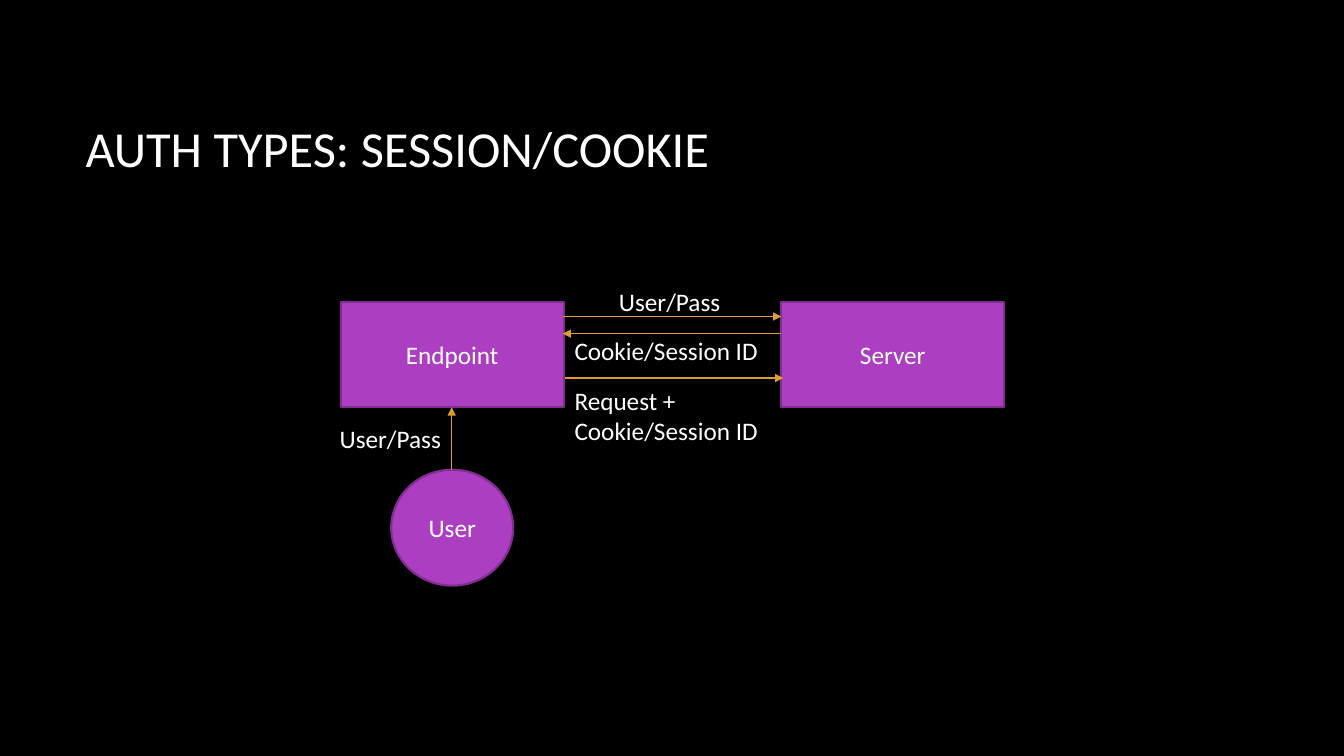
from typing import NamedTuple

from lxml import etree
from pptx import Presentation
from pptx.dml.color import RGBColor
from pptx.enum.shapes import MSO_CONNECTOR, MSO_SHAPE
from pptx.enum.text import MSO_ANCHOR, PP_ALIGN
from pptx.oxml.ns import qn
from pptx.slide import Slide
from pptx.text.text import TextFrame
from pptx.util import Inches, Pt

BLACK, WHITE = "000000", "FFFFFF"
PURPLE, DARK_PURPLE, ORANGE = "AC3EC1", "7F2E8F", "DD9D31"


class Node(NamedTuple):
    text: str
    kind: MSO_SHAPE
    left: float
    top: float
    width: float
    height: float


class Label(NamedTuple):
    text: str
    left: float
    top: float
    width: float
    height: float
    size: int = 18
    anchor: MSO_ANCHOR = MSO_ANCHOR.TOP


class Arrow(NamedTuple):
    x1: float
    y1: float
    x2: float
    y2: float


NODES = [
    Node("Endpoint", MSO_SHAPE.RECTANGLE, 3.38, 3, 2.21, 1.04),
    Node("Server", MSO_SHAPE.RECTANGLE, 7.75, 3, 2.21, 1.04),
    Node("User", MSO_SHAPE.OVAL, 3.88, 4.66, 1.21, 1.15),
]
ARROWS = [
    Arrow(4.48, 4.66, 4.48, 4.04),
    Arrow(5.58, 3.14, 7.75, 3.14),
    Arrow(7.75, 3.31, 5.58, 3.31),
    Arrow(5.6, 3.75, 7.77, 3.75),
]
LABELS = [
    Label("AUTH TYPES: SESSION/COOKIE", 0.75, 0.67, 11.08, 1.59, 36, MSO_ANCHOR.MIDDLE),
    Label("User/Pass", 3.27, 4.15, 1.21, 0.4),
    Label("User/Pass", 6.04, 2.79, 1.21, 0.4),
    Label("Cookie/Session ID", 5.6, 3.28, 2.17, 0.4),
    Label("Request + Cookie/Session ID", 5.6, 3.77, 2.12, 0.71),
]


def rgb(color: str) -> RGBColor:
    return RGBColor.from_string(color)


def write(frame: TextFrame, text: str, size: int, anchor: MSO_ANCHOR, align: PP_ALIGN) -> None:
    frame.word_wrap = True
    frame.vertical_anchor = anchor
    paragraph = frame.paragraphs[0]
    paragraph.text = text
    paragraph.alignment = align
    paragraph.font.name = "Calibri"
    paragraph.font.size = Pt(size)
    paragraph.font.color.rgb = rgb(WHITE)


def draw_node(slide: Slide, node: Node) -> None:
    shape = slide.shapes.add_shape(node.kind, *map(Inches, node[2:]))
    shape.shadow.inherit = False
    shape.fill.solid()
    shape.fill.fore_color.rgb = rgb(PURPLE)
    shape.line.color.rgb = rgb(DARK_PURPLE)
    shape.line.width = Pt(1.5)
    write(shape.text_frame, node.text, 18, MSO_ANCHOR.MIDDLE, PP_ALIGN.CENTER)


def draw_arrow(slide: Slide, arrow: Arrow) -> None:
    connector = slide.shapes.add_connector(MSO_CONNECTOR.STRAIGHT, *map(Inches, arrow))
    connector.line.color.rgb = rgb(ORANGE)
    connector.line.width = Pt(0.75)
    properties = connector._element.spPr
    etree.SubElement(properties.find(qn("a:ln")), qn("a:tailEnd"), type="triangle")
    etree.SubElement(properties, qn("a:effectLst"))


def draw_label(slide: Slide, label: Label) -> None:
    box = slide.shapes.add_textbox(*map(Inches, label[1:5]))
    write(box.text_frame, label.text, label.size, label.anchor, PP_ALIGN.LEFT)


def main() -> None:
    deck = Presentation()
    deck.slide_width, deck.slide_height = Inches(13.33), Inches(7.5)
    slide = deck.slides.add_slide(deck.slide_layouts[6])
    slide.background.fill.solid()
    slide.background.fill.fore_color.rgb = rgb(BLACK)
    for node in NODES:
        draw_node(slide, node)
    for arrow in ARROWS:
        draw_arrow(slide, arrow)
    for label in LABELS:
        draw_label(slide, label)
    deck.save("out.pptx")


if __name__ == "__main__":
    main()
